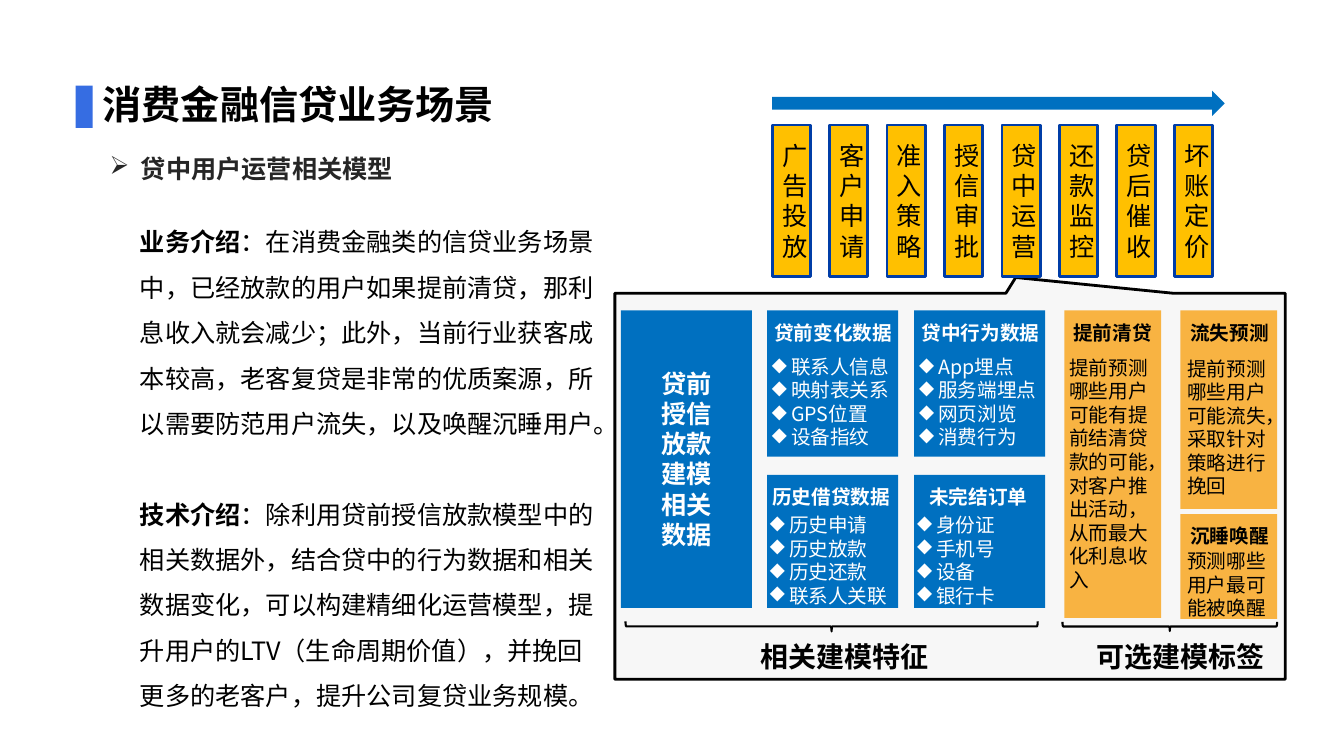
from dataclasses import dataclass

import pptx
import pptx.dml.color
import pptx.enum.shapes
import pptx.enum.text
import pptx.oxml
import pptx.oxml.ns
import pptx.util
from lxml import etree

Pt = pptx.util.Pt
RGBColor = pptx.dml.color.RGBColor
Shape = pptx.enum.shapes.MSO_SHAPE
Align = pptx.enum.text.PP_ALIGN
Anchor = pptx.enum.text.MSO_ANCHOR

FONT = "Noto Sans CJK SC"
BLACK = RGBColor(0x00, 0x00, 0x00)
WHITE = RGBColor(0xFF, 0xFF, 0xFF)
CHARCOAL = RGBColor(0x26, 0x26, 0x26)
ACCENT = RGBColor(0x36, 0x6D, 0xE2)
BLUE = RGBColor(0x00, 0x70, 0xC0)
NAVY = RGBColor(0x00, 0x3D, 0xA7)
GOLD = RGBColor(0xFF, 0xC0, 0x00)
ORANGE = RGBColor(0xF8, 0xB3, 0x42)
PALE = RGBColor(0xF7, 0xF7, 0xF7)


@dataclass(frozen=True)
class Box:
    left: float
    top: float
    width: float
    height: float

    def lengths(self) -> tuple:
        return Pt(self.left), Pt(self.top), Pt(self.width), Pt(self.height)


@dataclass(frozen=True)
class Style:
    size: float
    color: RGBColor = BLACK
    bold: bool = False
    align: Align = Align.LEFT
    bullet: str = ""
    hanging: float = 0


@dataclass(frozen=True)
class Card:
    """A filled box with a heading and lines of text, offset from its corner."""
    box: Box
    heading: str
    lines: tuple[str, ...]
    heading_dx: float
    text_dx: float
    text_dy: float


PANEL_TOP = 221.76
FEATURE_COLUMNS = (547.92, 653.04)
LABEL_COLUMNS = (760.32, 843.12)
UPPER_FEATURES = (
    ("贷前变化数据", ("联系人信息", "映射表关系", "GPS位置", "设备指纹")),
    ("贷中行为数据", ("App埋点", "服务端埋点", "网页浏览", "消费行为")),
)
LOWER_FEATURES = (
    ("历史借贷数据", ("历史申请", "历史放款", "历史还款", "联系人关联")),
    ("未完结订单", ("身份证", "手机号", "设备", "银行卡")),
)
FEATURE_CARDS = [
    Card(Box(left, top, 93.6, height), heading, lines, dx, dx, text_dy)
    for features, top, height, dx, text_dy in (
        (UPPER_FEATURES, PANEL_TOP, 104.4, -3.6, 28.08),
        (LOWER_FEATURES, 339.12, 95.04, -5.04, 23.76),
    )
    for left, (heading, lines) in zip(FEATURE_COLUMNS, features)
]
LABEL_CARDS = [
    Card(Box(LABEL_COLUMNS[0], PANEL_TOP, 69.12, 219.6), "提前清贷",
         ("提前预测哪些用户可能有提前结清贷款的可能，对客户推出活动，从而最大化利息收入",),
         -4.32, -3.6, 28.8),
    Card(Box(LABEL_COLUMNS[1], PANEL_TOP, 69.12, 141.84), "流失预测",
         ("提前预测哪些用户可能流失，采取针对策略进行挽回",), -3.6, -2.16, 29.52),
    Card(Box(LABEL_COLUMNS[1], 367.2, 69.12, 74.88), "沉睡唤醒",
         ("预测哪些用户最可能被唤醒",), -3.6, -2.16, 21.6),
]
STAGES = ("广告投放", "客户申请", "准入策略", "授信审批",
          "贷中运营", "还款监控", "贷后催收", "坏账定价")
STAGE_LEFT, STAGE_PITCH = 551.52, 41.04
INTRODUCTIONS = (
    ("业务介绍", "：在消费金融类的信贷业务场景中，已经放款的用户如果提前清贷，那利息收入就会减少；"
     "此外，当前行业获客成本较高，老客复贷是非常的优质案源，所以需要防范用户流失，以及唤醒沉睡用户。"),
    ("技术介绍", "：除利用贷前授信放款模型中的相关数据外，结合贷中的行为数据和相关数据变化，"
     "可以构建精细化运营模型，提升用户的LTV（生命周期价值），并挽回更多的老客户，提升公司复贷业务规模。"),
)
SUMMARIES = (
    (Box(590.4, 300.24, 7.2, 294.48), "相关建模特征", 520.56),
    (Box(832.32, 370.8, 6.48, 153.36), "可选建模标签", 761.04),
)


def add_figure(slide, kind: Shape, box: Box, fill: RGBColor | None = None,
               line: RGBColor | None = None, line_width: float = 2):
    figure = slide.shapes.add_shape(kind, *box.lengths())
    figure.shadow.inherit = False
    if fill is None:
        figure.fill.background()
    else:
        figure.fill.solid()
        figure.fill.fore_color.rgb = fill
    if line is None:
        figure.line.fill.background()
    else:
        figure.line.color.rgb = line
        figure.line.width = Pt(line_width)
    return figure


def style_paragraph(paragraph, style: Style) -> None:
    paragraph.alignment = style.align
    if style.bullet:
        properties = paragraph._p.get_or_add_pPr()
        properties.set("marL", str(Pt(style.hanging)))
        properties.set("indent", str(-Pt(style.hanging)))
        mark = etree.SubElement(properties, pptx.oxml.ns.qn("a:buChar"))
        mark.set("char", style.bullet)
    font = paragraph.font
    font.size = Pt(style.size)
    font.bold = style.bold
    font.color.rgb = style.color
    font.name = FONT
    east_asian = etree.SubElement(font._element, pptx.oxml.ns.qn("a:ea"))
    east_asian.set("typeface", FONT)


def write_lines(frame, lines: tuple[str, ...], style: Style) -> None:
    frame.word_wrap = True
    for index, line in enumerate(lines):
        paragraph = frame.add_paragraph() if index else frame.paragraphs[0]
        paragraph.add_run().text = line
        style_paragraph(paragraph, style)


def add_text(slide, box: Box, lines: tuple[str, ...], style: Style):
    frame = slide.shapes.add_textbox(*box.lengths()).text_frame
    write_lines(frame, lines, style)
    return frame


def add_card(slide, card: Card, fill: RGBColor, color: RGBColor, bullet: str = "") -> None:
    box = card.box
    add_figure(slide, Shape.RECTANGLE, box, fill)
    width = box.width + 8.28
    add_text(slide, Box(box.left + card.heading_dx, box.top + 3.6, width, 24.48),
             (card.heading,), Style(14, color, True, Align.CENTER))
    add_text(slide, Box(box.left + card.text_dx, box.top + card.text_dy,
                        width, box.height - card.text_dy),
             card.lines, Style(14, color, bullet=bullet, hanging=13.68))


def add_introductions(slide) -> None:
    frame = slide.shapes.add_textbox(*Box(92.88, 147.6, 346.32, 363.6).lengths()).text_frame
    frame.word_wrap = True
    for index, (lead, body) in enumerate(INTRODUCTIONS):
        paragraph = frame.add_paragraph() if index else frame.paragraphs[0]
        paragraph.line_spacing = 1.5
        if index:
            paragraph.space_before = Pt(32.4)
        lead_run = paragraph.add_run()
        lead_run.text = lead
        lead_run.font.bold = True
        paragraph.add_run().text = body
        style_paragraph(paragraph, Style(18))


def add_stages(slide) -> None:
    add_figure(slide, Shape.RIGHT_ARROW, Box(STAGE_LEFT, 64.8, 323.28, 18), BLUE)
    for index, name in enumerate(STAGES):
        box = Box(STAGE_LEFT + index * STAGE_PITCH, 89.28, 27.36, 108)
        stage = add_figure(slide, Shape.RECTANGLE, box, GOLD, NAVY)
        write_lines(stage.text_frame, (name,), Style(18, align=Align.CENTER))
        stage.text_frame.vertical_anchor = Anchor.MIDDLE


def main() -> None:
    deck = pptx.Presentation()
    deck.slide_width, deck.slide_height = Pt(960), Pt(540)
    slide = deck.slides.add_slide(deck.slide_layouts[6])

    add_figure(slide, Shape.RECTANGLE, Box(54, 61.2, 12.24, 30.24), ACCENT)
    callout = add_figure(slide, Shape.RECTANGULAR_CALLOUT,
                         Box(439.2, 209.52, 478.8, 275.76), PALE, BLACK)
    callout.adjustments[0], callout.adjustments[1] = 0.098, -0.541
    title = add_text(slide, Box(66.24, 54.72, 517.68, 38.88),
                     ("消费金融信贷业务场景",), Style(28, bold=True))
    title.vertical_anchor = Anchor.MIDDLE
    add_text(slide, Box(71.28, 105.84, 256.32, 28.8), ("贷中用户运营相关模型",),
             Style(18, CHARCOAL, True, bullet="➢", hanging=22.32))
    add_introductions(slide)

    add_figure(slide, Shape.RECTANGLE, Box(443.52, PANEL_TOP, 93.6, 212.4), BLUE)
    add_text(slide, Box(439.2, 259.2, 102.24, 138.24),
             ("贷前", "授信", "放款", "建模", "相关", "数据"),
             Style(18, WHITE, True, Align.CENTER))
    for card in FEATURE_CARDS:
        add_card(slide, card, BLUE, WHITE, "◆")
    for card in LABEL_CARDS:
        add_card(slide, card, ORANGE, BLACK)
    for brace_box, caption, caption_left in SUMMARIES:
        brace = add_figure(slide, Shape.RIGHT_BRACE, brace_box, line=BLACK, line_width=1.5)
        brace.rotation = 90
        add_text(slide, Box(caption_left, 453.6, 164.88, 31.68), (caption,),
                 Style(20, bold=True, align=Align.CENTER))
    add_stages(slide)
    deck.save("out.pptx")


if __name__ == "__main__":
    main()
